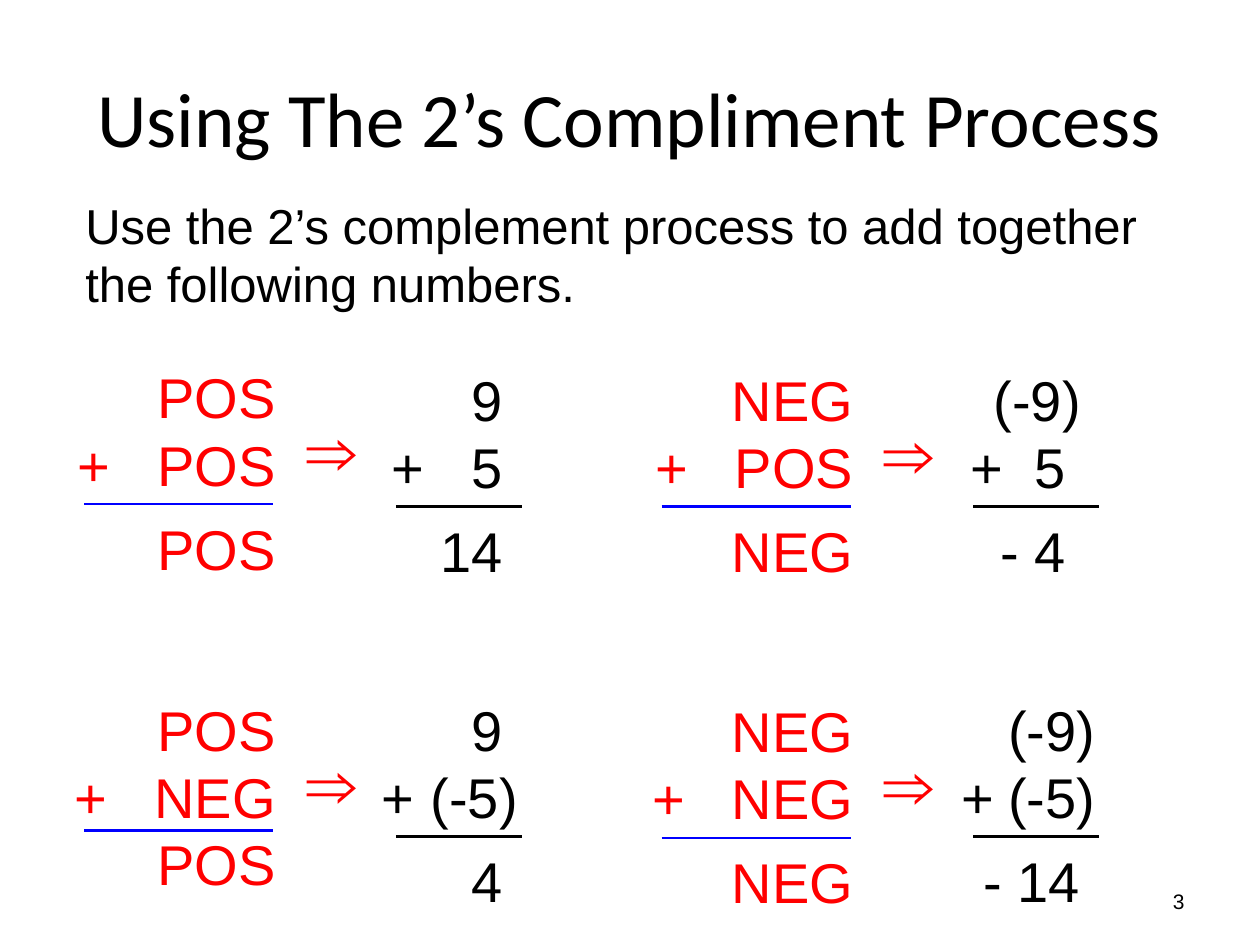
from dataclasses import dataclass

from lxml.etree import SubElement
from pptx import Presentation
from pptx.dml.color import RGBColor
from pptx.enum.shapes import MSO_CONNECTOR
from pptx.enum.text import MSO_ANCHOR, PP_ALIGN
from pptx.oxml.ns import qn
from pptx.util import Cm, Pt

COLORS = {"text": "000000", "sign": "FF0000", "sign_rule": "0000FF"}
PARENTHESIS = 0.31
RULE_DROP = 2.97


@dataclass
class Problem:
    """Lengths are in cm; edges are measured from the problem's left side."""
    left: float
    top: float
    signs_top: float
    signs: tuple
    sign_plus: float
    numbers: tuple
    number_plus: float
    number_edge: float = 8.86
    tight_signs: bool = False


PROBLEMS = [
    Problem(1.27, 7.24, 7.19, ("POS", "POS", "POS"), 0.3,
            ("9", "5", "14"), 6.63),
    Problem(12.91, 7.24, 7.24, ("NEG", "POS", "NEG"), 0.3,
            ("(-9)", "5", "- 4"), 6.65, number_edge=8.57),
    Problem(1.27, 13.89, 13.89, ("POS", "NEG", "POS"), 0.24,
            ("9", "(-5)", "4"), 6.43, tight_signs=True),
    Problem(12.91, 13.89, 13.92, ("NEG", "NEG", "NEG"), 0.24,
            ("(-9)", "(-5)", "- 14"), 6.47),
]


def add_run(paragraph, text, size, color="text", font="Arial"):
    run = paragraph.add_run()
    run.text = text
    run.font.name = font
    run.font.size = Pt(size)
    run.font.color.rgb = RGBColor.from_string(COLORS[color])


def add_box(slide, left, top, width, height, wrap=True):
    shape = slide.shapes.add_textbox(Cm(left), Cm(top), Cm(width), Cm(height))
    shape.text_frame.word_wrap = wrap
    return shape.text_frame


def add_right_tab(paragraph, position):
    tabs = SubElement(paragraph._p.get_or_add_pPr(), qn("a:tabLst"))
    SubElement(tabs, qn("a:tab"), pos=str(Cm(position)), algn="r")


def add_rule(slide, left, top, width, color):
    line = slide.shapes.add_connector(
        MSO_CONNECTOR.STRAIGHT, Cm(left), Cm(top), Cm(left + width), Cm(top))
    line.line.color.rgb = RGBColor.from_string(COLORS[color])
    line.line.width = Pt(1.5)
    SubElement(line._element.spPr, qn("a:effectLst"))


def add_sum(slide, left, top, values, edge, color, result_spacing):
    """Stack two terms and a result, last digits aligned at the edge."""
    frame = add_box(slide, left, top, edge + 0.6, 4.65)
    frame.margin_left = frame.margin_right = 0
    for row, value in enumerate(values):
        paragraph = frame.paragraphs[0] if row == 0 else frame.add_paragraph()
        hang = PARENTHESIS if value.endswith(")") else 0
        add_right_tab(paragraph, edge + hang)
        operator = "+" if row == 1 else ""
        add_run(paragraph, f"{operator}\t{value}", 32, color)
    paragraph.line_spacing = result_spacing


def add_problem(slide, problem):
    """Place the sign rule, the arrow and the worked sum side by side."""
    left, signs_top = problem.left, problem.signs_top
    add_sum(slide, left + problem.sign_plus, signs_top, problem.signs,
            4.29 - problem.sign_plus, "sign", 1.0 if problem.tight_signs else 1.25)
    rule_drop = RULE_DROP - (0.12 if problem.tight_signs else 0)
    add_rule(slide, left + 0.43, signs_top + rule_drop, 3.81, "sign_rule")

    arrow = add_box(slide, left + 4.65, signs_top + 0.89, 1.93, 1.96, wrap=False)
    add_run(arrow.paragraphs[0], "⇒", 40, "sign")

    add_sum(slide, left + problem.number_plus, problem.top, problem.numbers,
            problem.number_edge - problem.number_plus, "text", 1.25)
    add_rule(slide, left + 6.71, problem.top + RULE_DROP, 2.54, "text")


def add_heading(slide):
    title = slide.shapes.title
    title.left, title.top = Cm(0), Cm(0.76)
    title.width, title.height = Cm(25.4), Cm(3.18)
    title.text_frame.vertical_anchor = MSO_ANCHOR.MIDDLE
    paragraph = title.text_frame.paragraphs[0]
    paragraph.alignment = PP_ALIGN.CENTER
    add_run(paragraph, "Using The 2’s Compliment Process", 44, font="Calibri")

    task = add_box(slide, 1.47, 3.81, 23.06, 2.62)
    add_run(task.paragraphs[0], "Use the 2’s complement process to add together "
            "the following numbers.", 28)


def add_page_number(slide):
    frame = add_box(slide, 18.21, 17.65, 5.92, 1.02)
    frame.vertical_anchor = MSO_ANCHOR.MIDDLE
    frame.paragraphs[0].alignment = PP_ALIGN.RIGHT
    add_run(frame.paragraphs[0], "3", 12)


def main():
    presentation = Presentation()
    presentation.slide_width, presentation.slide_height = Cm(25.4), Cm(19.05)
    slide = presentation.slides.add_slide(presentation.slide_layouts[5])
    add_heading(slide)
    for problem in PROBLEMS:
        add_problem(slide, problem)
    add_page_number(slide)
    presentation.save("out.pptx")


if __name__ == "__main__":
    main()
